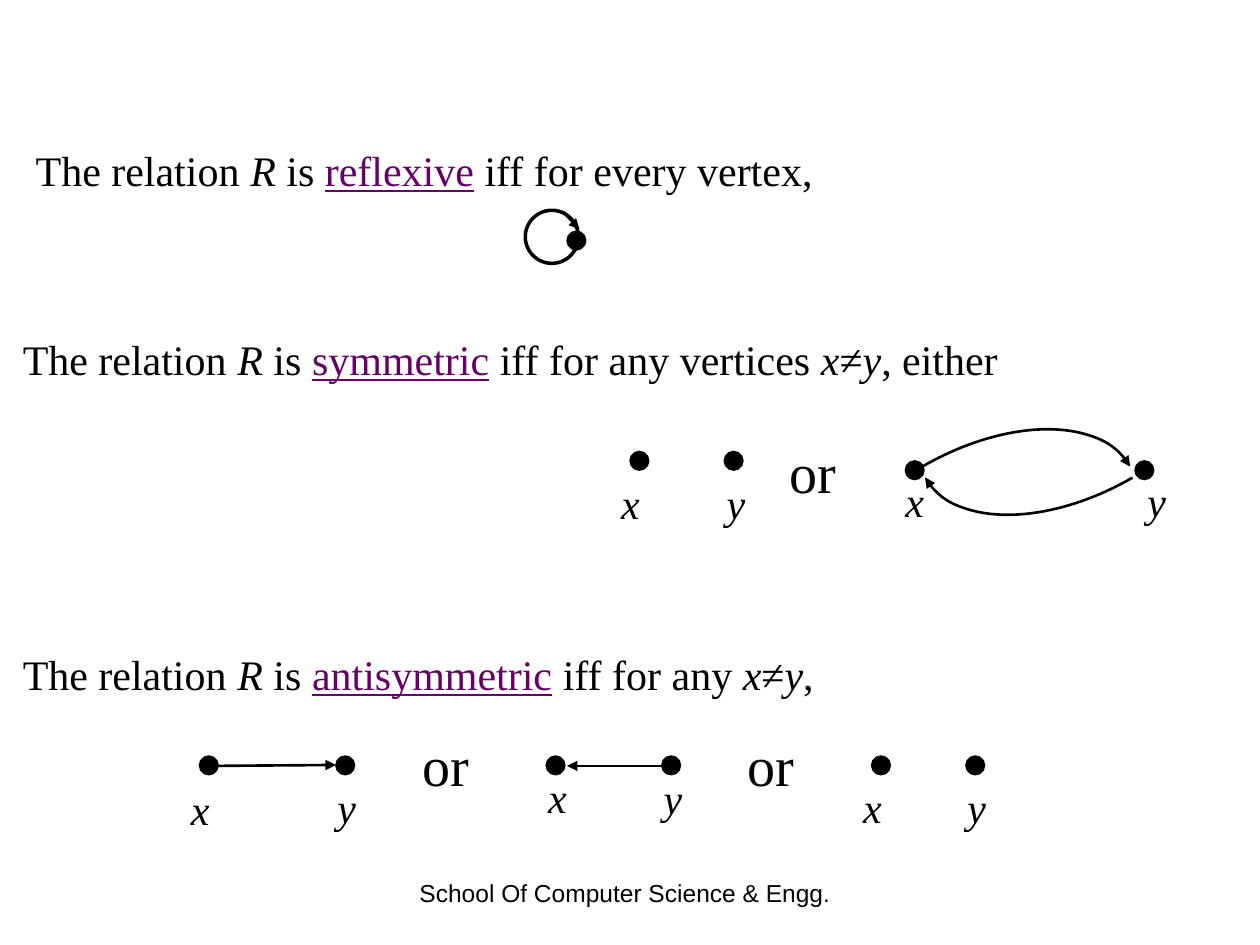
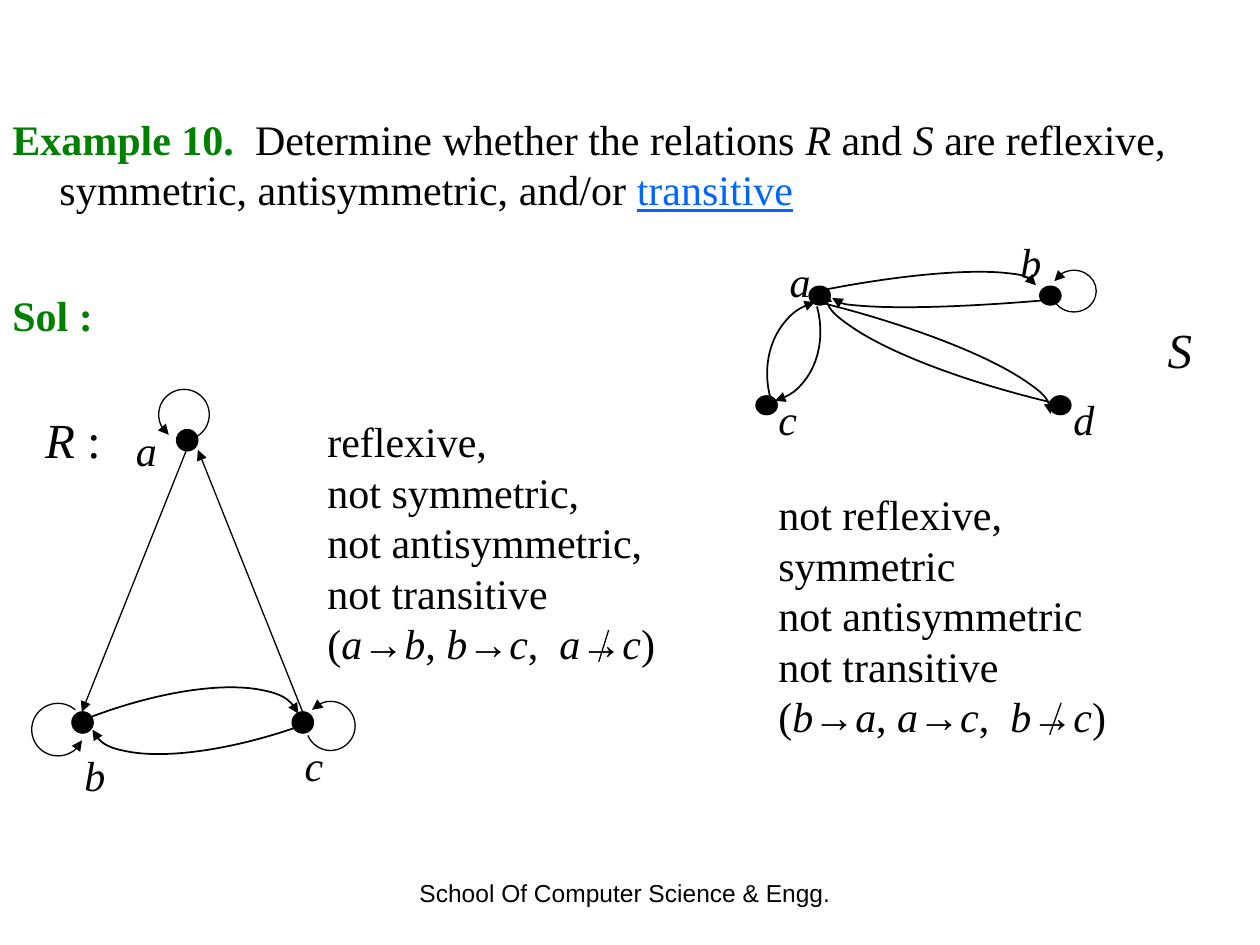
from lxml.etree import SubElement
from pptx import Presentation
from pptx.dml.color import RGBColor
from pptx.enum.shapes import MSO_CONNECTOR, MSO_SHAPE
from pptx.enum.text import PP_ALIGN
from pptx.oxml.ns import qn
from pptx.util import Cm, Pt

HUES = {"ink": "000000", "term": "660066", "head": "008000", "link": "0066FF"}
# First letter of a run -> (colour, format)
MARKS = {
    "*": ("ink", "italic"),
    "_": ("term", "underline"),
    "~": ("link", "underline"),
    "#": ("head", "bold"),
}


def text(slide, x, y, w, h, words, size=24, font="Times New Roman",
         align=PP_ALIGN.LEFT, left=0, first=0):
    """Add a text box; lines split at newlines, runs at |, marks set the format."""
    frame = slide.shapes.add_textbox(Cm(x), Cm(y), Cm(w), Cm(h)).text_frame
    frame.word_wrap = True
    for i, line in enumerate(words.split("\n")):
        para = frame.add_paragraph() if i else frame.paragraphs[0]
        para.alignment = align
        para.line_spacing = Pt(size * 1.2)
        if left:
            props = para._p.get_or_add_pPr()
            props.set("marL", str(Cm(left)))
            props.set("indent", str(Cm(first)))
        for part in line.split("|"):
            hue, form = MARKS.get(part[0], ("ink", None))
            run = para.add_run()
            run.text = part[1:] if form else part
            run.font.name = font
            run.font.size = Pt(size)
            run.font.color.rgb = RGBColor.from_string(HUES[hue])
            if form:
                setattr(run.font, form, True)


def draw(shape, width, tip=None):
    """Give a shape or connector a plain ink line, with an arrowhead at tip."""
    shape.line.color.rgb = RGBColor.from_string(HUES["ink"])
    shape.line.width = Pt(width)
    props = shape._element.spPr
    if tip:
        SubElement(props.find(qn("a:ln")), qn(f"a:{tip}End")).set("type", "triangle")
    SubElement(props, qn("a:effectLst"))


deck = Presentation()
deck.slide_width, deck.slide_height = Cm(25.4), Cm(19.05)
rules, task = [deck.slides.add_slide(deck.slide_layouts[6]) for _ in range(2)]
for slide in (rules, task):
    text(slide, 6.35, 17.58, 12.5, 0.84, "School Of Computer Science & Engg.",
         size=14, font="Arial", align=PP_ALIGN.CENTER)

# Wording of the three rules
for y, first, words in [
    (2.79, -0.48, "The relation |*R| is |_reflexive| iff for every vertex,"),
    (6.6, -0.74, "The relation |*R| is |_symmetric| iff for any vertices |*x|≠|*y|, either"),
    (12.95, -0.74, "The relation |*R| is |_antisymmetric| iff for any |*x|≠|*y|,"),
]:
    text(rules, 0, y, 24.77, 1.9, words, left=0.95, first=first)
for x, y in [(15.67, 8.69), (8.26, 14.61), (14.81, 14.61)]:
    text(rules, x, y, 1.63, 1.6, "or", size=32)

# Wording of the example
text(task, 0, 2.16, 24.77, 3.81,
     "#Example 10.|  Determine whether the relations |*R| and |*S| are reflexive, "
     "symmetric, antisymmetric, and/or |~transitive", left=0.95, first=-0.95)
text(task, 0, 5.72, 3, 1.3, "#Sol :")
text(task, 0.66, 8.13, 2.06, 1.45, "*R| :", size=28)
text(task, 23.29, 6.32, 1.02, 1.24, "*S", size=28)
text(task, 6.35, 8.26, 8.26, 5.38,
     "reflexive,\nnot symmetric,\nnot antisymmetric,\nnot transitive\n"
     "(|*a|→|*b|, |*b|→|*c|,  |*a|→|*c|)")
text(task, 15.44, 9.73, 7.62, 5.33,
     "not reflexive,\nsymmetric\nnot antisymmetric\nnot transitive\n"
     "(|*b|→|*a|, |*a|→|*c|,  |*b|→|*c|)")

# Vertices: dot width and height, then dot place, name and name place
for slide, w, h, nodes in [
    (rules, 0.38, 0.38, [
        (11.43, 4.66, "", 0, 0),
        (12.7, 9.1, "x", 12.27, 9.5), (14.6, 9.1, "y", 14.4, 9.5),
        (18.25, 9.29, "x", 18, 9.47), (22.88, 9.29, "y", 22.88, 9.47),
        (4.02, 15.24, "x", 3.6, 15.67), (6.77, 15.24, "y", 6.55, 15.62),
        (11.01, 15.24, "x", 10.8, 15.42), (13.34, 15.24, "y", 13.13, 15.44),
        (17.57, 15.24, "x", 17.15, 15.62), (19.47, 15.24, "y", 19.25, 15.62),
    ]),
    (task, 0.43, 0.43, [
        (3.56, 8.66, "a", 2.49, 8.43), (1.45, 14.35, "b", 1.45, 14.99),
        (5.89, 14.35, "c", 5.89, 14.78),
    ]),
    (task, 0.43, 0.38, [
        (16.31, 5.77, "a", 15.67, 5.03), (20.96, 5.77, "b", 20.32, 4.65),
        (15.24, 7.98, "c", 15.44, 7.8), (21.16, 7.98, "d", 21.39, 7.8),
    ]),
]:
    for x, y, name, left, top in nodes:
        dot = slide.shapes.add_shape(MSO_SHAPE.OVAL, Cm(x), Cm(y), Cm(w), Cm(h))
        dot.fill.solid()
        dot.fill.fore_color.rgb = RGBColor.from_string(HUES["ink"])
        draw(dot, 0.75)
        if name:
            text(slide, left, top, 0.95, 1.27, "*" + name)

# Straight edges, and the strokes that cross out an arrow
for slide, width, tip, x1, y1, x2, y2 in [
    (rules, 1.5, "tail", 11.35, 4.27, 11.68, 4.62),
    (rules, 1.5, "tail", 4.24, 15.44, 6.77, 15.42),
    (rules, 1.5, "tail", 13.34, 15.44, 11.43, 15.44),
    (task, 0.75, "tail", 3.76, 9.07, 1.65, 14.35),
    (task, 0.75, "tail", 6.1, 14.35, 3.99, 9.07),
    (task, 0.75, None, 12.27, 12.7, 12.07, 13.34),
    (task, 0.75, None, 21.39, 14.17, 21.16, 14.81),
]:
    edge = slide.shapes.add_connector(
        MSO_CONNECTOR.STRAIGHT, Cm(x1), Cm(y1), Cm(x2), Cm(y2))
    draw(edge, width, tip)

ring = rules.shapes.add_shape(MSO_SHAPE.OVAL, Cm(10.59), Cm(4.24), Cm(1.07), Cm(1.07))
ring.fill.background()
draw(ring, 2)

# Curved edges: a quarter of an ellipse, turned
for slide, width, x, y, w, h, turn in [
    (rules, 1.5, 18.16, 5.72, 7.24, 4.19, 150),
    (rules, 1.5, 16.03, 9.12, 7.24, 4.19, 330),
    (task, 1, -1.7, 14.38, 7.98, 2.87, 339),
    (task, 1, 1.65, 12.14, 7.82, 2.59, 161),
    (task, 1, 13.59, 5.21, 3.23, 2.62, 75),
    (task, 1, 15.24, 6.27, 3.28, 2.79, 254),
    (task, 1, 12.65, 5.82, 8.31, 1.45, 349),
    (task, 1, 16.51, 5.89, 10.21, 2.29, 193),
    (task, 1, 11.25, 6.07, 10.08, 2.11, 14),
    (task, 1, 16.76, 5.21, 8.64, 0.84, 175),
]:
    curve = slide.shapes.add_shape(MSO_SHAPE.ARC, Cm(x), Cm(y), Cm(w), Cm(h))
    curve.rotation = turn
    curve.fill.background()
    draw(curve, width, "tail")

# Loops at a vertex: open circles between two angles
for x, y, w, h, start, end in [
    (3.2, 7.85, 1.02, 1.02, 127, 62),
    (0.64, 14.18, 1.06, 1.06, 24, 311),
    (6.17, 14.14, 0.99, 0.99, 221, 157),
    (21.2, 5.45, 0.9, 0.84, 207, 144),
]:
    loop = task.shapes.add_shape(MSO_SHAPE.ARC, Cm(x), Cm(y), Cm(w), Cm(h))
    for i, angle in enumerate((start, end)):
        loop.adjustments[i] = angle * 0.6
    loop.fill.background()
    draw(loop, 0.75, "head")

deck.save("out.pptx")
